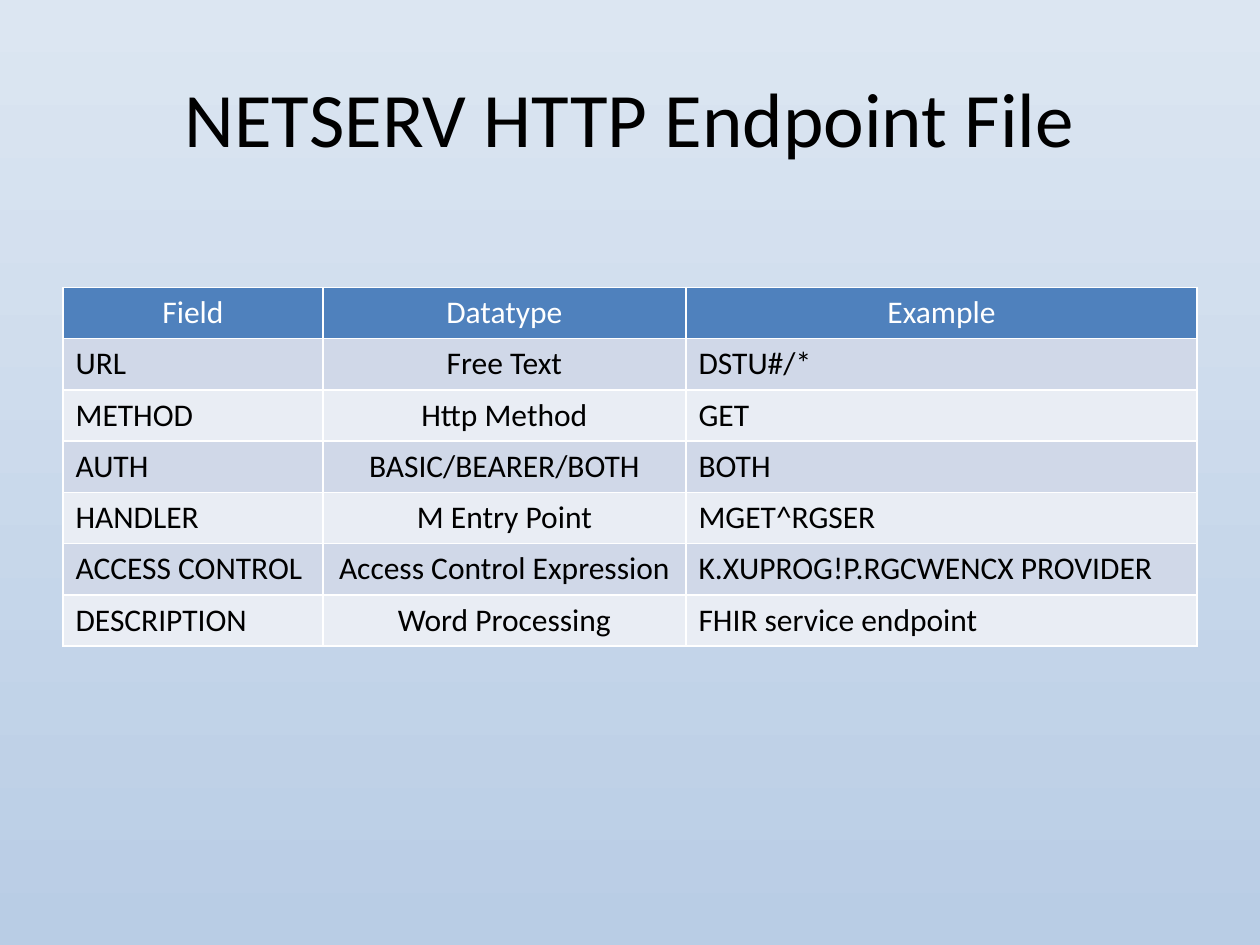
from dataclasses import dataclass

from pptx import Presentation
from pptx.dml.color import RGBColor
from pptx.enum.text import MSO_ANCHOR, PP_ALIGN
from pptx.util import Pt


@dataclass(frozen=True)
class Theme:
    """Colours, font and type sizes of the slide."""
    font: str = "Calibri"
    title_size: int = 44
    table_size: int = 18
    ink: str = "000000"
    header_ink: str = "FFFFFF"
    header_fill: str = "4F81BD"
    band_fills: tuple = ("D0D8E8", "E9EDF4")
    background: tuple = ("DCE6F2", "B9CDE5")


THEME = Theme()
TITLE = "NETSERV HTTP Endpoint File"
HEADER = ("Field", "Datatype", "Example")
FIELDS = (
    ("URL", "Free Text", "DSTU#/*"),
    ("METHOD", "Http Method", "GET"),
    ("AUTH", "BASIC/BEARER/BOTH", "BOTH"),
    ("HANDLER", "M Entry Point", "MGET^RGSER"),
    ("ACCESS CONTROL", "Access Control Expression", "K.XUPROG!P.RGCWENCX PROVIDER"),
    ("DESCRIPTION", "Word Processing", "FHIR service endpoint"),
)
COLUMN_WIDTHS = (148.5, 207.5, 292)
ROW_HEIGHT = 29.3


def write_text(frame, text, *, size, color=THEME.ink, align=PP_ALIGN.LEFT):
    """Write one formatted paragraph into a text frame."""
    para = frame.paragraphs[0]
    para.alignment = align
    span = para.add_run()
    span.text = text
    span.font.name = THEME.font
    span.font.size = Pt(size)
    span.font.bold = False
    span.font.color.rgb = RGBColor.from_string(color)


def paint_background(page):
    """Fill the page with a gradient running from top to bottom."""
    fill = page.background.fill
    fill.gradient()
    fill.gradient_angle = 270
    for stop, color, position in zip(fill.gradient_stops, THEME.background, (0, 1)):
        stop.color.rgb = RGBColor.from_string(color)
        stop.position = position


def add_title(page, text):
    """Add the centred title."""
    box = page.shapes.add_textbox(Pt(36), Pt(21.6), Pt(648), Pt(90))
    frame = box.text_frame
    frame.word_wrap = True
    frame.vertical_anchor = MSO_ANCHOR.MIDDLE
    write_text(frame, text, size=THEME.title_size, align=PP_ALIGN.CENTER)


def fill_row(cells, texts, *, fill, color, alignments):
    """Write and colour the cells of one table row."""
    for cell, text, align in zip(cells, texts, alignments):
        cell.fill.solid()
        cell.fill.fore_color.rgb = RGBColor.from_string(fill)
        write_text(cell.text_frame, text, size=THEME.table_size, color=color, align=align)


def add_field_table(page):
    """Add the table of endpoint fields with alternating row fills."""
    row_count = len(FIELDS) + 1
    table = page.shapes.add_table(
        row_count, len(HEADER), Pt(36), Pt(164.2),
        Pt(sum(COLUMN_WIDTHS)), Pt(row_count * ROW_HEIGHT),
    ).table
    for column, width in zip(table.columns, COLUMN_WIDTHS):
        column.width = Pt(width)
    for row in table.rows:
        row.height = Pt(ROW_HEIGHT)
    fill_row(table.rows[0].cells, HEADER, fill=THEME.header_fill,
             color=THEME.header_ink, alignments=(PP_ALIGN.CENTER,) * len(HEADER))
    for index, texts in enumerate(FIELDS):
        fill_row(table.rows[index + 1].cells, texts,
                 fill=THEME.band_fills[index % 2], color=THEME.ink,
                 alignments=(PP_ALIGN.LEFT, PP_ALIGN.CENTER, PP_ALIGN.LEFT))


def main():
    """Build the slide and save the deck."""
    deck = Presentation()
    deck.slide_width, deck.slide_height = Pt(720), Pt(540)
    page = deck.slides.add_slide(deck.slide_layouts[6])
    paint_background(page)
    add_title(page, TITLE)
    add_field_table(page)
    deck.save("out.pptx")


if __name__ == "__main__":
    main()
